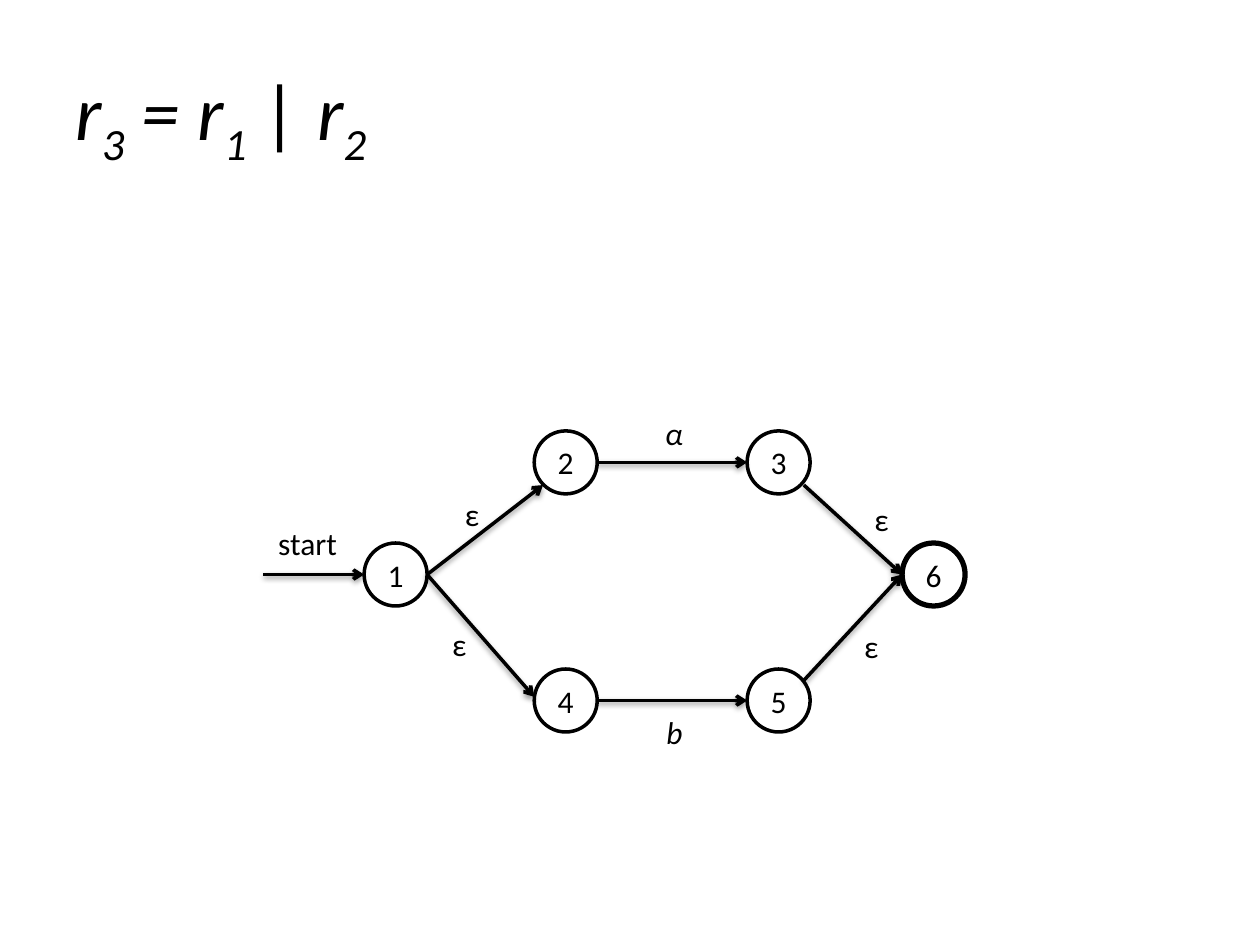
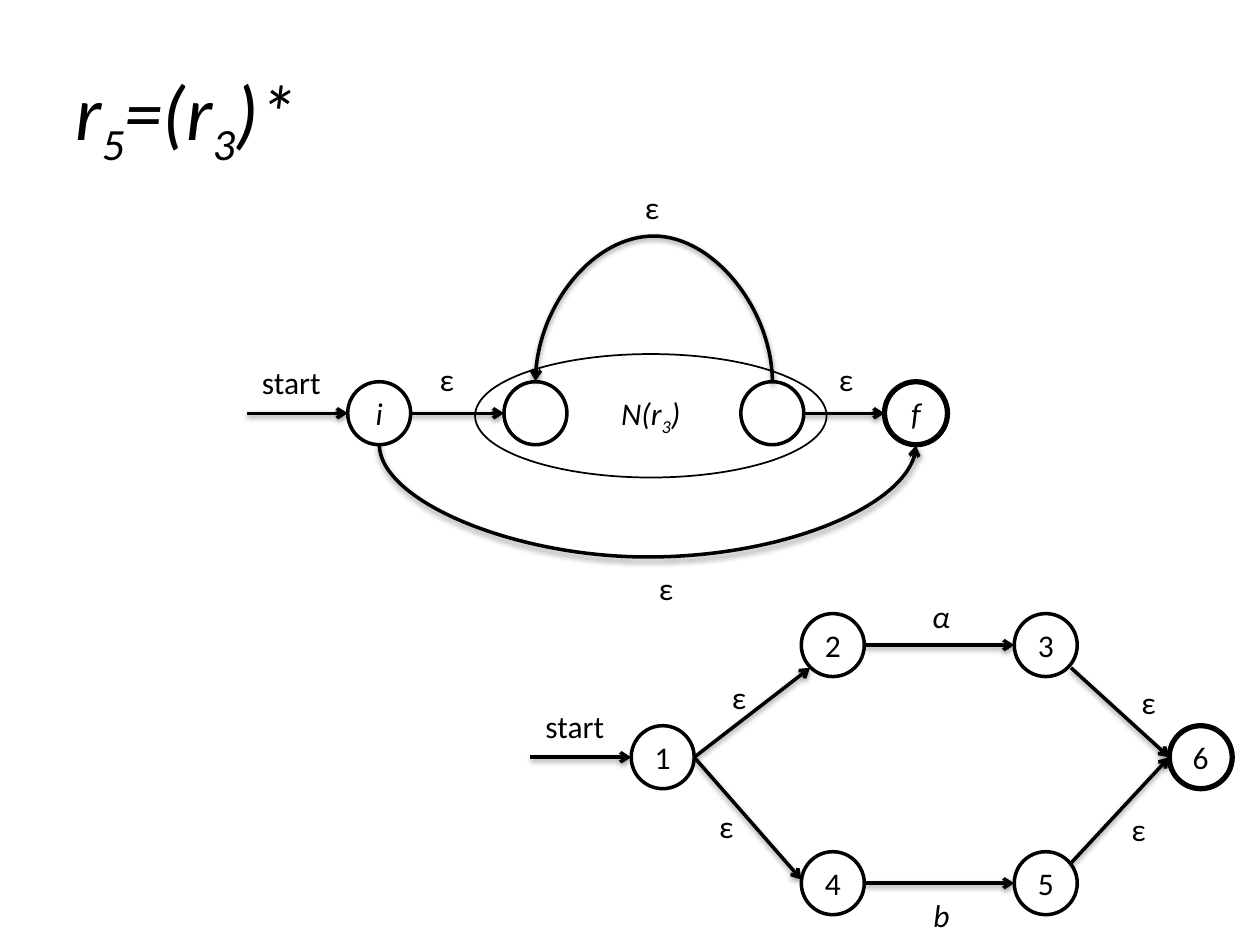
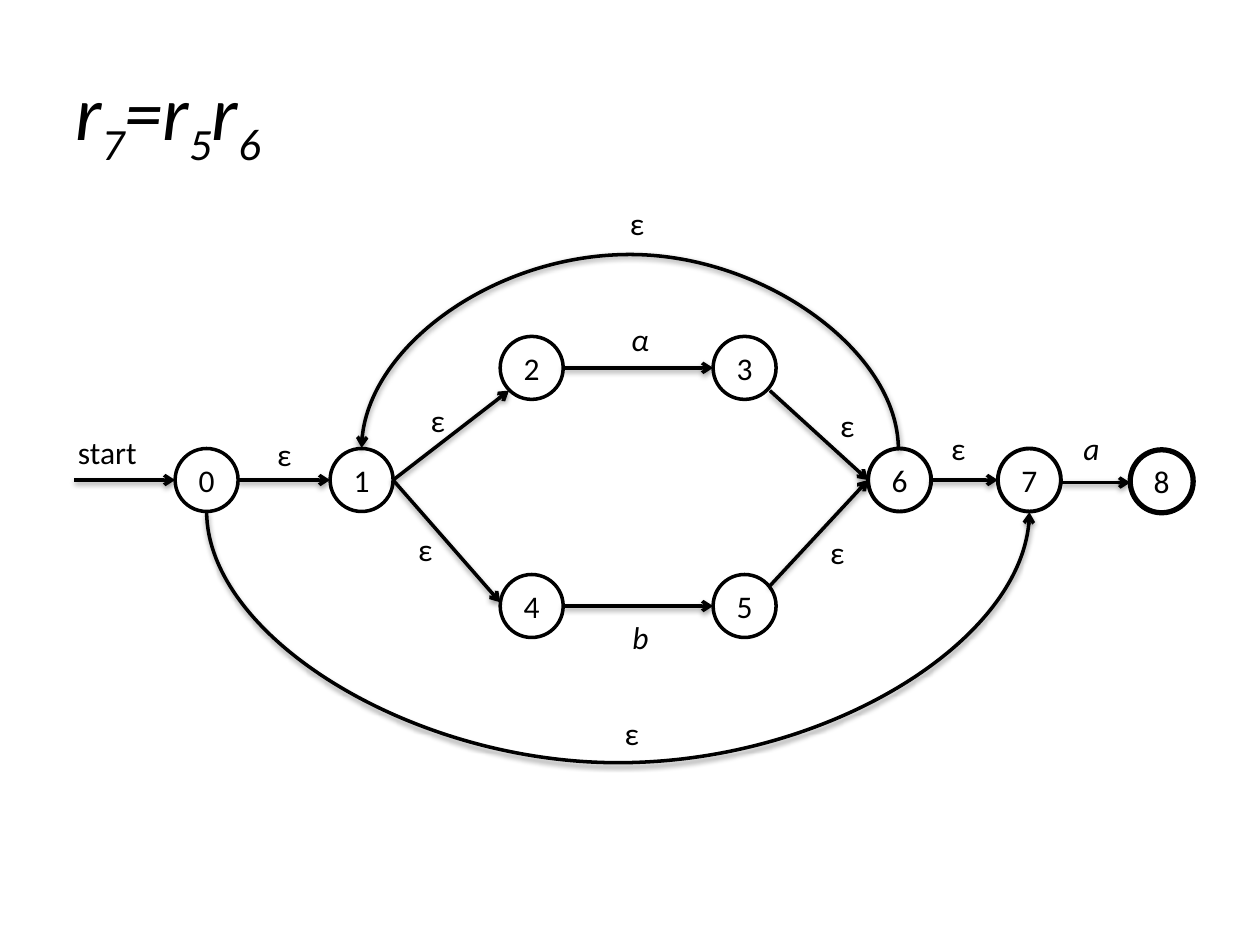
from lxml import etree
from pptx import Presentation
from pptx.dml.color import RGBColor
from pptx.enum import shapes, text
from pptx.oxml import parse_xml
from pptx.oxml.ns import nsdecls, qn
from pptx.util import Inches, Pt

FONT = "Calibri"
BLACK = "000000"
WHITE = "FFFFFF"
NODE = 0.5
HALF = NODE / 2
THIN, LINE, FINAL = 1, 2, 3
LABEL_HEIGHT = 0.4
LABEL_WIDTHS = {"ε": 0.32, "α": 0.41, "b": 0.39, "a": 0.38, "start": 0.68}
CURVE_BASE = 0.01
SHADOW = (
    f'<a:effectLst {nsdecls("a")}>'
    '<a:outerShdw blurRad="40000" dist="20000" dir="5400000" rotWithShape="0">'
    f'<a:srgbClr val="{BLACK}"><a:alpha val="38000"/></a:srgbClr>'
    '</a:outerShdw></a:effectLst>'
)


def rgb(value):
    return RGBColor.from_string(value)


def add_run(p, content, size, italic, baseline=None):
    r = p.add_run()
    r.text = content
    r.font.name = FONT
    r.font.size = Pt(size)
    r.font.italic = italic
    r.font.color.rgb = rgb(BLACK)
    if baseline:
        r.font._element.set("baseline", baseline)


def write(tf, content, size=18, italic=False, align=text.PP_ALIGN.LEFT,
          anchor=text.MSO_ANCHOR.TOP, wrap=False):
    tf.word_wrap = wrap
    tf.vertical_anchor = anchor
    p = tf.paragraphs[0]
    p.alignment = align
    first, *rest = content.split("_")
    add_run(p, first, size, italic)
    for piece in rest:
        add_run(p, piece[0], size, italic, baseline="-25000")
        if piece[1:]:
            add_run(p, piece[1:], size, italic)


def title(s, content):
    sp = s.shapes.add_textbox(Inches(0.5), Inches(0.3), Inches(9), Inches(1.25))
    write(sp.text_frame, content, size=44, italic=True,
          anchor=text.MSO_ANCHOR.MIDDLE, wrap=True)


def label(s, content, x, y, italic=False):
    sp = s.shapes.add_textbox(Inches(x), Inches(y),
                              Inches(LABEL_WIDTHS[content]), Inches(LABEL_HEIGHT))
    sp.text_frame.auto_size = text.MSO_AUTO_SIZE.SHAPE_TO_FIT_TEXT
    write(sp.text_frame, content, italic=italic)


def ellipse(s, content, x, y, width=NODE, height=NODE, weight=LINE,
            italic=False, fill=WHITE):
    sp = s.shapes.add_shape(shapes.MSO_SHAPE.OVAL, Inches(x), Inches(y),
                            Inches(width), Inches(height))
    sp.shadow.inherit = False
    if fill:
        sp.fill.solid()
        sp.fill.fore_color.rgb = rgb(fill)
    else:
        sp.fill.background()
    sp.line.color.rgb = rgb(BLACK)
    sp.line.width = Pt(weight)
    if content:
        write(sp.text_frame, content, italic=italic, align=text.PP_ALIGN.CENTER,
              anchor=text.MSO_ANCHOR.MIDDLE)


def connector(s, kind, x1, y1, x2, y2):
    c = s.shapes.add_connector(kind, Inches(x1), Inches(y1), Inches(x2), Inches(y2))
    c.line.color.rgb = rgb(BLACK)
    c.line.width = Pt(LINE)
    tail = etree.SubElement(c.line._get_or_add_ln(), qn("a:tailEnd"))
    tail.set("type", "arrow")
    c._element.spPr.append(parse_xml(SHADOW))
    return c


def arrow(s, x1, y1, x2, y2):
    connector(s, shapes.MSO_CONNECTOR.STRAIGHT, x1, y1, x2, y2)


def arc(s, x1, x2, y, drop):
    span = abs(x2 - x1)
    left = (x1 + x2 - CURVE_BASE) / 2
    top = y - span / 2
    c = connector(s, shapes.MSO_CONNECTOR.CURVE, left, top,
                  left + CURVE_BASE, top + span)
    xfrm = c._element.spPr.find(qn("a:xfrm"))
    xfrm.set("rot", str(270 * 60000))
    if drop > 0:
        xfrm.set("flipH", "1")
    if x2 < x1:
        xfrm.set("flipV", "1")
    geom = c._element.spPr.find(qn("a:prstGeom"))
    guides = geom.find(qn("a:avLst"))
    if guides is None:
        guides = etree.SubElement(geom, qn("a:avLst"))
    guide = etree.SubElement(guides, qn("a:gd"))
    guide.set("name", "adj1")
    guide.set("fmla", f"val {round(abs(drop) / CURVE_BASE * 100000)}")


def start(s, x, y, label_dx=-0.78, label_dy=-0.2):
    arrow(s, x - 0.8, y + HALF, x, y + HALF)
    label(s, "start", x + label_dx, y + label_dy)


def union_graph(s, x, y, final_weight=FINAL):
    col2, col3, col4 = 1.35, 3.04, 4.27
    upper, lower = -0.89, 1
    for name, dx, dy, weight in [("1", 0, 0, LINE), ("2", col2, upper, LINE),
                                 ("3", col3, upper, LINE), ("4", col2, lower, LINE),
                                 ("5", col3, lower, LINE), ("6", col4, 0, final_weight)]:
        ellipse(s, name, x + dx, y + dy, weight=weight)
    for x1, y1, x2, y2 in [(NODE, HALF, 1.42, -0.46), (NODE, HALF, col2, 1.22),
                           (3.49, -0.46, col4, HALF), (3.49, 1.09, col4, HALF)]:
        arrow(s, x + x1, y + y1, x + x2, y + y2)
    for dy in (upper, lower):
        arrow(s, x + col2 + NODE, y + dy + HALF, x + col3, y + dy + HALF)
    for dx, dy in [(0.7, -0.43), (0.6, 0.6), (3.95, -0.39), (3.87, 0.62)]:
        label(s, "ε", x + dx, y + dy)
    label(s, "α", x + 2.29, y - 1.07, italic=True)
    label(s, "b", x + 2.3, y + 1.3, italic=True)


def star_graph(s, x, y):
    inner_first, inner_last, final = x + 1.24, x + 3.12, x + 4.26
    middle = y + HALF
    ellipse(s, "N(r_3)", x + 1.01, y - 0.22, 2.79, 0.98, weight=THIN,
            italic=True, fill=None)
    ellipse(s, "i", x, y, italic=True)
    ellipse(s, "f", final, y, weight=FINAL, italic=True)
    start(s, x, y)
    for left in (inner_first, inner_last):
        ellipse(s, "", left, y)
    arrow(s, x + NODE, middle, inner_first, middle)
    arrow(s, inner_last + NODE, middle, final, middle)
    arc(s, inner_last + HALF, inner_first + HALF, y, -1.18)
    arc(s, x + HALF, final + HALF, y + NODE, 0.91)
    for dx, dy in [(0.63, -0.22), (3.8, -0.22), (2.26, -1.59), (2.37, 1.44)]:
        label(s, "ε", x + dx, y + dy)


def concatenation_graph(s, x, y):
    first, last, seventh, eighth = x + 1.23, x + 5.49, x + 6.53, x + 7.58
    middle = y + HALF
    union_graph(s, first, y, final_weight=2.25)
    start(s, x, y, label_dx=-0.87, label_dy=-0.17)
    ellipse(s, "0", x, y)
    ellipse(s, "7", seventh, y, weight=2.25)
    ellipse(s, "8", eighth, y + 0.01, weight=FINAL)
    arrow(s, x + NODE, middle, first, middle)
    arrow(s, last + NODE, middle, seventh, middle)
    arrow(s, seventh + NODE, middle + 0.02, eighth, middle + 0.02)
    arc(s, last + HALF, first + HALF, y, -1.57)
    arc(s, x + HALF, seventh + HALF, y + NODE, 2.03)
    for dx, dy in [(0.71, -0.16), (6.06, -0.2), (3.47, 2.06), (3.51, -1.99)]:
        label(s, "ε", x + dx, y + dy)
    label(s, "a", x + 7.11, y - 0.2, italic=True)


def new_slide(prs, heading):
    s = prs.slides.add_slide(prs.slide_layouts[6])
    title(s, heading)
    return s


def main():
    prs = Presentation()
    prs.slide_width = Inches(10)
    prs.slide_height = Inches(7.5)

    s = new_slide(prs, "r_3 = r_1 | r_2")
    union_graph(s, 2.89, 4.31)
    start(s, 2.89, 4.31)

    s = new_slide(prs, "r_5=(r_3)*")
    star_graph(s, 2.76, 3.03)
    union_graph(s, 5.01, 5.76)
    start(s, 5.01, 5.76)

    s = new_slide(prs, "r_7=r_5r_6")
    concatenation_graph(s, 1.39, 3.56)

    prs.save("out.pptx")


main()
